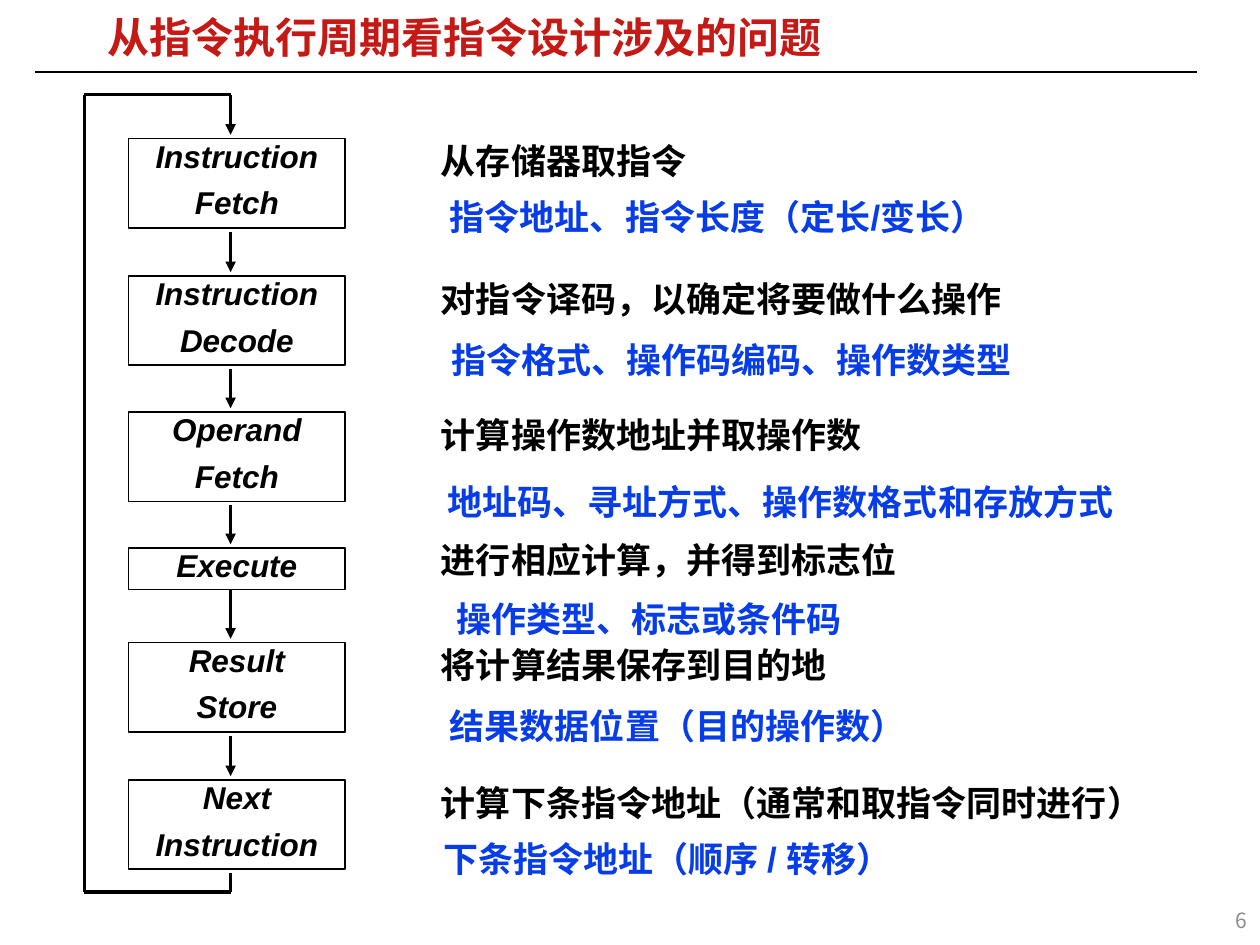
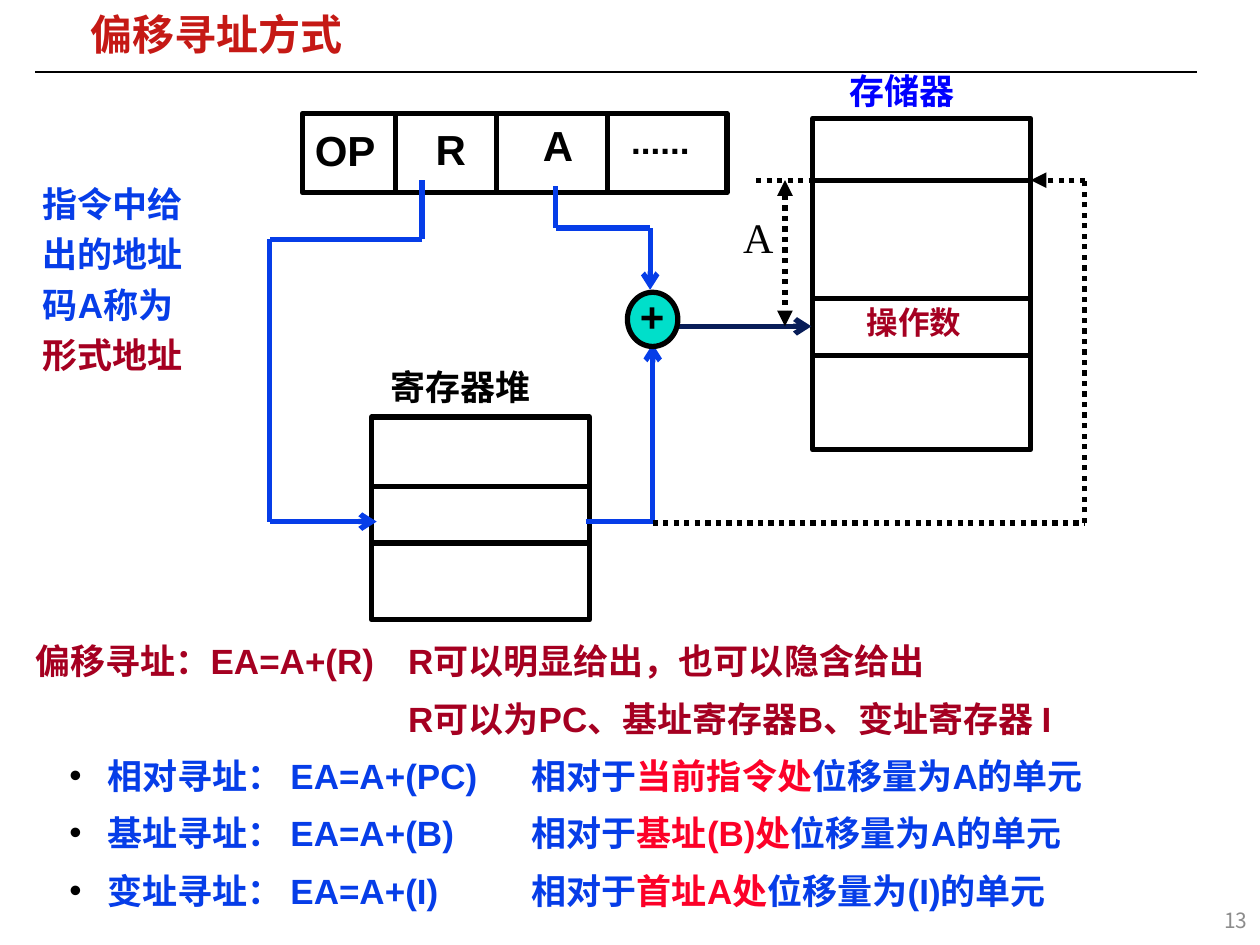
from dataclasses import dataclass
from itertools import pairwise
from typing import Any

import lxml.etree
import pptx
import pptx.dml.color
import pptx.enum.dml
import pptx.enum.shapes
import pptx.enum.text
import pptx.oxml.ns
import pptx.util

Inches, Pt = pptx.util.Inches, pptx.util.Pt
SHAPE = pptx.enum.shapes.MSO_SHAPE
ALIGN = pptx.enum.text.PP_ALIGN
ANCHOR = pptx.enum.text.MSO_ANCHOR
DOTTED = pptx.enum.dml.MSO_LINE.ROUND_DOT

COLORS = {
    "black": "000000", "title": "C51915", "blue": "063DE8", "label": "0000FF",
    "navy": "081D58", "crimson": "A50021", "red": "FC0128", "teal": "00DFCA",
    "number": "8C8C8C",
}
TIGHT = (0.07, 0.03)
ROOMY = (0.1, 0.05)


def rgb(name):
    return pptx.dml.color.RGBColor.from_string(COLORS[name])


def add_xml(parent, tag, **values):
    return lxml.etree.SubElement(parent, pptx.oxml.ns.qn(tag), values)


def write(shape, paras, size=20, color="black", font="Arial", bold=True, italic=False,
          align=None, spacing=None, before=0, insets=TIGHT, anchor=ANCHOR.TOP):
    """Fill a shape with paragraphs, each a string or a list of (text, colour) spans."""
    frame = shape.text_frame
    frame_format = {
        "word_wrap": True, "vertical_anchor": anchor,
        "margin_left": Inches(insets[0]), "margin_right": Inches(insets[0]),
        "margin_top": Inches(insets[1]), "margin_bottom": Inches(insets[1]),
    }
    for name, value in frame_format.items():
        setattr(frame, name, value)
    for index, spans in enumerate(paras):
        para = frame.paragraphs[0] if index == 0 else frame.add_paragraph()
        para_format = {"alignment": align, "line_spacing": spacing,
                       "space_before": Pt(before if index else 0)}
        for name, value in para_format.items():
            setattr(para, name, value)
        for words, span_color in [(spans, color)] if isinstance(spans, str) else spans:
            span = para.add_run()
            span.text = words
            span_format = {"name": font, "size": Pt(size), "bold": bold, "italic": italic}
            for name, value in span_format.items():
                setattr(span.font, name, value)
            span.font.color.rgb = rgb(span_color)
    return shape


@dataclass
class Region:
    """A part of a page; everything in it is placed from its top left corner."""
    page: Any
    left: float = 0
    top: float = 0

    def place(self, x, y):
        return Inches(self.left + x), Inches(self.top + y)

    def text(self, x, y, width, height, *paras, **style):
        box = self.page.shapes.add_textbox(*self.place(x, y), Inches(width), Inches(height))
        return write(box, paras, **style)

    def shape(self, x, y, width, height, kind=SHAPE.RECTANGLE, fill=None, weight=3):
        shape = self.page.shapes.add_shape(
            kind, *self.place(x, y), Inches(width), Inches(height))
        shape.shadow.inherit = False
        if fill:
            shape.fill.solid()
            shape.fill.fore_color.rgb = rgb(fill)
        else:
            shape.fill.background()
        shape.line.color.rgb = rgb("black")
        shape.line.width = Pt(weight)
        return shape

    def route(self, *points, color="black", weight=3, dash=None, head=None, tail=None):
        """Join points by straight lines, with arrowheads at the first and last point."""
        legs = list(pairwise(points))
        for index, (start, end) in enumerate(legs):
            leg = self.page.shapes.add_connector(
                pptx.enum.shapes.MSO_CONNECTOR.STRAIGHT,
                *self.place(*start), *self.place(*end))
            leg.line.color.rgb = rgb(color)
            leg.line.width = Pt(weight)
            if dash:
                leg.line.dash_style = dash
            outline = leg.line._get_or_add_ln()
            if head and index == 0:
                add_xml(outline, "a:headEnd", type=head)
            if tail and index == len(legs) - 1:
                add_xml(outline, "a:tailEnd", type=tail)
            add_xml(leg._element.spPr, "a:effectLst")


def add_page(deck, title, title_box, number):
    page = deck.slides.add_slide(deck.slide_layouts[6])
    whole = Region(page)
    whole.route((0.28, 0.57), (9.5, 0.57), weight=1)
    whole.text(*title_box, title, size=24, color="title", spacing=0.87)
    whole.text(7.75, 7.1, 2.25, 0.4, str(number), size=12, color="number", bold=False,
               font="Noto Sans CJK SC", align=ALIGN.RIGHT, insets=ROOMY,
               anchor=ANCHOR.MIDDLE)
    return page


# Step words, top, height, action, then the design issue with its left and top.
STEPS = [
    (["Instruction", "Fetch"], 1.1, 0.71, "从存储器取指令",
     "指令地址、指令长度（定长/变长）", 3.5, 1.52),
    (["Instruction", "Decode"], 2.19, 0.71, "对指令译码，以确定将要做什么操作",
     "指令格式、操作码编码、操作数类型", 3.51, 2.66),
    (["Operand", "Fetch"], 3.27, 0.71, "计算操作数地址并取操作数",
     "地址码、寻址方式、操作数格式和存放方式", 3.48, 3.78),
    (["Execute"], 4.35, 0.33, "进行相应计算，并得到标志位",
     "操作类型、标志或条件码", 3.55, 4.71),
    (["Result", "Store"], 5.1, 0.71, "将计算结果保存到目的地",
     "结果数据位置（目的操作数）", 3.5, 5.56),
    (["Next", "Instruction"], 6.19, 0.71, "计算下条指令地址（通常和取指令同时进行）",
     "下条指令地址（顺序 / 转移）", 3.45, 6.62),
]


def add_cycle(region):
    """Draw the step boxes, the arrows between them and the loop back to the first."""
    axis, loop, gap = 1.16, 0, 0.03
    for words, top, height, *_ in STEPS:
        box = region.shape(0.35, top, 1.72, height, weight=1)
        write(box, words, size=18, italic=True, align=ALIGN.CENTER, spacing=0.86, before=8)
    for (_, top, height, *_), (_, next_top, *_) in pairwise(STEPS):
        start = top + height + (0 if height < 0.5 else gap)
        region.route((axis, start), (axis, next_top - gap), weight=2, tail="triangle")
    region.route((axis, 6.93), (axis, 7.08), (loop, 7.08), (loop, 0.75), (axis, 0.75),
                 (axis, STEPS[0][1] - gap), weight=2, tail="triangle")


def add_explanations(region):
    for _, top, _, action, issue, issue_left, issue_top in STEPS:
        action_top = 4.26 if action.startswith("进行") else top
        region.text(0, action_top, 6.1, 0.38, action, spacing=0.97)
        region.text(issue_left - region.left, issue_top, 5.86, 0.39, issue, color="blue")


def add_instruction(region):
    """Draw the instruction word with its fields."""
    region.shape(0, 0, 3.37, 0.63)
    for x in (0.74, 1.54, 2.42):
        region.route((x, 0), (x, 0.63))
    for name, x, y, width in [("OP", 0, 0.04, 0.87), ("R", 0.96, 0.03, 0.46),
                              ("A", 1.81, 0, 0.46)]:
        region.text(x, y, width, 0.5, name, size=24, insets=ROOMY)
    region.text(2.54, 0.02, 0.84, 0.39, "......")


def add_storage(region, height, rows, label, label_box, color):
    """Draw a labelled block of cells divided at the given heights."""
    region.shape(0, 0, 1.73, height)
    for y in rows:
        region.route((0, y), (1.73, y))
    region.text(*label_box, label, color=color, font="Times New Roman", insets=ROOMY)


def add_address_paths(region):
    """Draw the adder, the paths through it and the dotted distance A."""
    blue = {"color": "blue"}
    dotted = {"dash": DOTTED}
    region.route((3.35, 1.43), (3.35, 1.9), (2.14, 1.9), (2.14, 4.14), (2.99, 4.14),
                 tail="arrow", **blue)
    region.route((4.65, 4.14), (5.18, 4.14), (5.18, 2.73), tail="arrow", **blue)
    region.route((4.41, 1.48), (4.41, 1.81), (5.16, 1.81), (5.16, 2.3),
                 tail="arrow", **blue)
    region.route((5.38, 2.59), (6.44, 2.59), color="navy", tail="arrow")
    region.shape(4.98, 2.32, 0.4, 0.43, SHAPE.OVAL, "teal")
    region.text(4.98, 2.26, 0.4, 0.5, "+", size=24, insets=ROOMY)
    region.route((5.18, 4.15), (8.61, 4.15), (8.61, 1.43), (8.18, 1.43),
                 tail="triangle", **dotted)
    region.route((6, 1.43), (6.44, 1.43), **dotted)
    region.route((6.23, 1.43), (6.23, 2.59), head="triangle", tail="triangle", **dotted)
    region.text(5.8, 1.63, 0.57, 0.5, "A", size=24, bold=False,
                font="Times New Roman", insets=ROOMY)


MODES = [
    ("相对寻址： EA=A+(PC)", "当前指令处", "位移量为A的单元"),
    ("基址寻址： EA=A+(B)", "基址(B)处", "位移量为A的单元"),
    ("变址寻址： EA=A+(I)", "首址A处", "位移量为(I)的单元"),
]


def add_summary(region):
    """Write the general rule, then the bulleted modes beside their meanings."""
    style = {"spacing": 1.2, "before": 4}
    rule = region.text(0, 0, 9.04, 0.95, "偏移寻址：EA=A+(R)\tR可以明显给出，也可以隐含给出",
                       "\tR可以为PC、基址寄存器B、变址寄存器 I", color="crimson", **style)
    for para in rule.text_frame.paragraphs:
        tabs = add_xml(para._p.get_or_add_pPr(), "a:tabLst")
        add_xml(tabs, "a:tab", pos=str(Inches(2.96)), algn="l")

    modes = region.text(0, 0.91, 3.95, 1.41, *(mode for mode, *_ in MODES),
                        color="blue", **style)
    for para in modes.text_frame.paragraphs:
        layout = para._p.get_or_add_pPr()
        layout.set("marL", str(Inches(0.57)))
        layout.set("indent", str(Inches(-0.3)))
        color = add_xml(layout, "a:buClr")
        add_xml(color, "a:srgbClr", val=COLORS["black"])
        add_xml(layout, "a:buFont", typeface="Arial")
        add_xml(layout, "a:buChar", char="•")

    meanings = [[("相对于", "blue"), (base, "red"), (offset, "blue")]
                for _, base, offset in MODES]
    region.text(3.94, 0.91, 5.2, 1.41, *meanings, **style)


def build_cycle_page(deck):
    page = add_page(deck, "从指令执行周期看指令设计涉及的问题", (0.78, 0.12, 7.23, 0.4), 6)
    add_cycle(Region(page, left=0.67))
    add_explanations(Region(page, left=3.43))


def build_offset_page(deck):
    page = add_page(deck, "偏移寻址方式", (0.65, 0.09, 2.51, 0.4), 13)
    add_instruction(Region(page, 2.4, 0.9))
    memory = Region(page, 6.45, 0.94)
    add_storage(memory, 2.63, (0.49, 1.43, 1.88), "存储器", (0.19, -0.44, 1.51, 0.43), "label")
    memory.text(0.33, 1.42, 1.11, 0.4, "操作数", size=18, color="crimson",
                font="Times New Roman", insets=ROOMY)
    add_storage(Region(page, 2.95, 3.31), 1.61, (0.55, 1), "寄存器堆",
                (0.05, -0.46, 1.85, 0.43), "black")
    add_address_paths(Region(page))
    Region(page, 0.27, 1.35).text(
        0, 0, 1.39, 1.65, [("指令中给出的地址码A称为", "blue"), ("形式地址", "crimson")],
        spacing=1.2)
    add_summary(Region(page, 0.21, 4.98))


def main():
    deck = pptx.Presentation()
    deck.slide_width, deck.slide_height = Inches(10), Inches(7.5)
    build_cycle_page(deck)
    build_offset_page(deck)
    deck.save("out.pptx")


if __name__ == "__main__":
    main()
